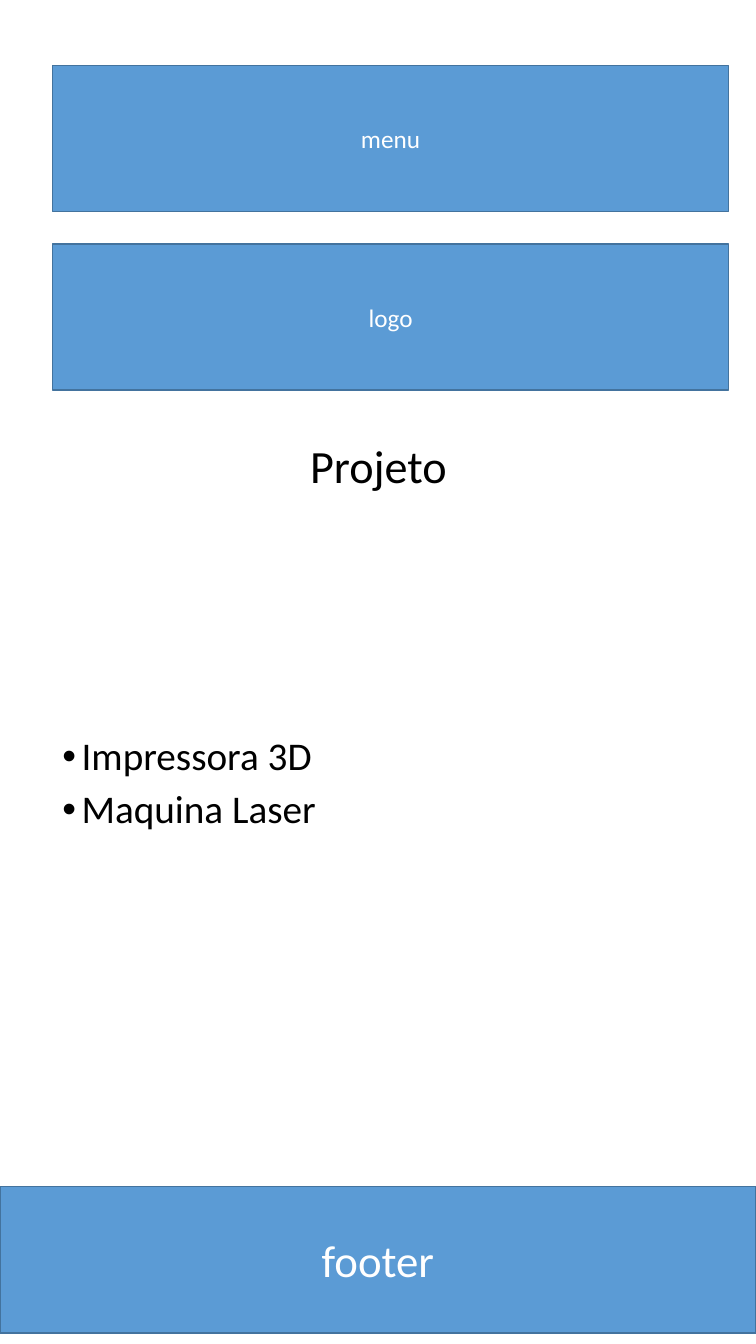
from dataclasses import dataclass

from pptx import Presentation
from pptx.dml.color import RGBColor
from pptx.enum.shapes import MSO_SHAPE
from pptx.enum.text import MSO_ANCHOR, MSO_AUTO_SIZE, PP_ALIGN
from pptx.util import Emu, Inches, Pt

RECT = MSO_SHAPE.RECTANGLE
CENTER, LEFT = PP_ALIGN.CENTER, PP_ALIGN.LEFT
MIDDLE, TOP = MSO_ANCHOR.MIDDLE, MSO_ANCHOR.TOP
NO_FIT = MSO_AUTO_SIZE.NONE

BLACK = RGBColor(0x00, 0x00, 0x00)
WHITE = RGBColor(0xFF, 0xFF, 0xFF)
BLUE = RGBColor(0x5B, 0x9B, 0xD5)
DARK_BLUE = RGBColor(0x43, 0x73, 0x9E)

FONT = "Calibri"
SLIDE_W, SLIDE_H = Inches(7.5), Inches(13.33)
BULLET_INDENT = Inches(0.19)


@dataclass
class Area:
    """Place on the slide, in percent of its width and height."""
    x: float
    y: float
    w: float
    h: float

    def box(self) -> dict[str, Emu]:
        return {
            "left": Emu(round(SLIDE_W * self.x / 100)),
            "top": Emu(round(SLIDE_H * self.y / 100)),
            "width": Emu(round(SLIDE_W * self.w / 100)),
            "height": Emu(round(SLIDE_H * self.h / 100)),
        }


@dataclass
class Band:
    label: str
    area: Area
    size: int


MARGIN, BAND_W, TEXT_W, BAND_H = 6.93, 89.47, 86.27, 10.88
TITLE_AREA = Area(MARGIN, 31.43, TEXT_W, 10.65)
LIST_AREA = Area(MARGIN, 54.46, TEXT_W, 16.73)
MACHINES = ["Impressora 3D", "Maquina Laser"]
BANDS = [
    Band("menu", Area(MARGIN, 4.88, BAND_W, BAND_H), 18),
    Band("logo", Area(MARGIN, 18.15, BAND_W, BAND_H), 18),
    Band("footer", Area(0, 88.3, 100, BAND_H), 32),
]


def set_attrs(target, values: dict) -> None:
    for name, value in values.items():
        setattr(target, name, value)


def write(tf, lines: list[str], size: int, color: RGBColor,
          anchor: MSO_ANCHOR, para: dict) -> None:
    set_attrs(tf, {"word_wrap": True, "auto_size": NO_FIT,
                   "vertical_anchor": anchor})
    for i, line in enumerate(lines):
        p = tf.paragraphs[0] if i == 0 else tf.add_paragraph()
        set_attrs(p, para)
        r = p.add_run()
        r.text = line
        set_attrs(r.font, {"name": FONT, "size": Pt(size)})
        r.font.color.rgb = color


def add_band(s, band: Band) -> None:
    sp = s.shapes.add_shape(RECT, **band.area.box())
    sp.shadow.inherit = False
    sp.fill.solid()
    sp.fill.fore_color.rgb = BLUE
    sp.line.color.rgb = DARK_BLUE
    sp.line.width = Pt(1)
    write(sp.text_frame, [band.label], band.size, WHITE, MIDDLE,
          {"alignment": CENTER})


def main() -> None:
    prs = Presentation()
    prs.slide_width, prs.slide_height = SLIDE_W, SLIDE_H
    s = prs.slides.add_slide(prs.slide_layouts[1])

    # Title, raised by a deep bottom margin
    title = s.shapes.title
    set_attrs(title, TITLE_AREA.box())
    title.text_frame.margin_bottom = Inches(0.55)
    write(title.text_frame, ["Projeto"], 33, BLACK, MIDDLE,
          {"alignment": CENTER, "line_spacing": 0.9})

    # Bulleted list
    body = s.placeholders[1]
    set_attrs(body, LIST_AREA.box())
    write(body.text_frame, MACHINES, 28, BLACK, TOP,
          {"alignment": LEFT, "line_spacing": 0.9, "space_before": Pt(7.5)})
    for p in body.text_frame.paragraphs:
        pPr = p._p.get_or_add_pPr()
        pPr.set("marL", str(BULLET_INDENT))
        pPr.set("indent", str(-BULLET_INDENT))

    # Menu, logo and footer bands
    for band in BANDS:
        add_band(s, band)

    prs.save("out.pptx")


if __name__ == "__main__":
    main()
